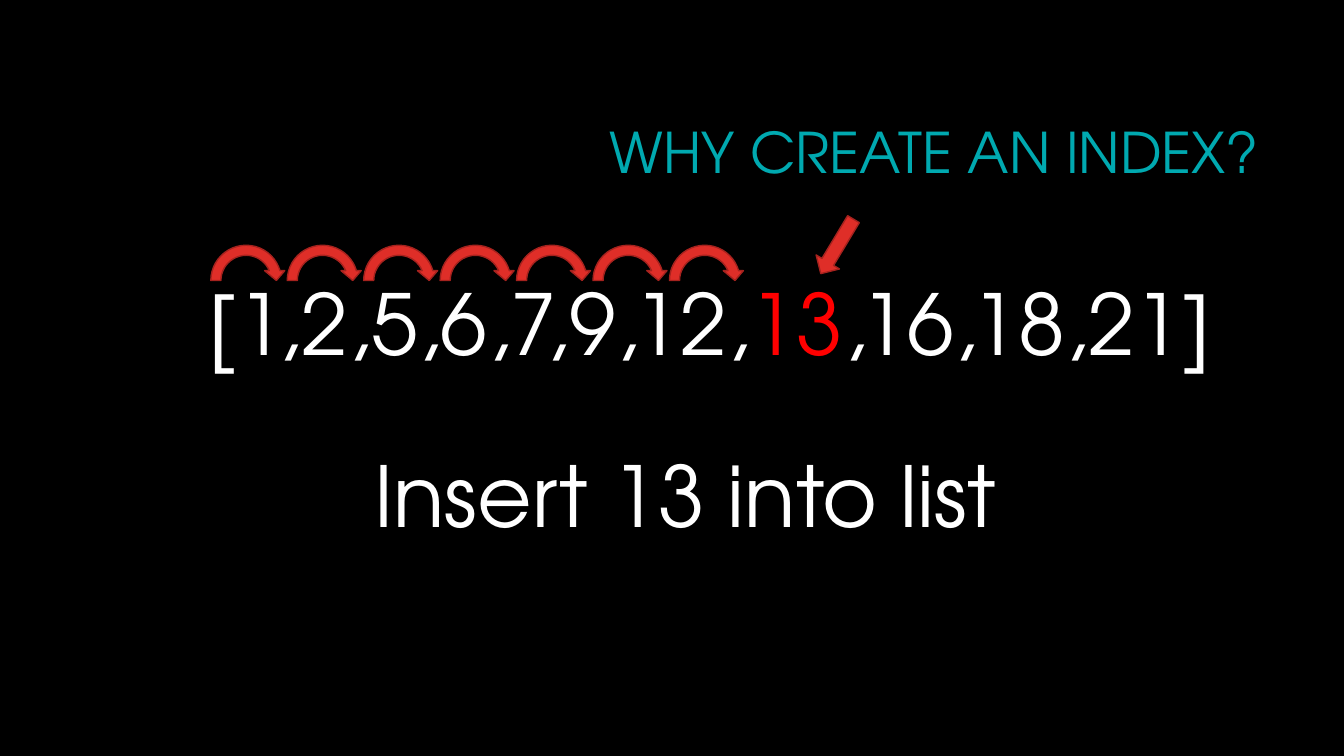
from pptx import Presentation
from pptx.dml.color import RGBColor
from pptx.enum.shapes import MSO_SHAPE
from pptx.enum.text import MSO_ANCHOR, MSO_AUTO_SIZE, PP_ALIGN
from pptx.util import Inches, Pt

LEFT, CENTER, RIGHT = PP_ALIGN.LEFT, PP_ALIGN.CENTER, PP_ALIGN.RIGHT
MIDDLE = MSO_ANCHOR.MIDDLE
NO_FIT, GROW = MSO_AUTO_SIZE.NONE, MSO_AUTO_SIZE.SHAPE_TO_FIT_TEXT
HOP, POINTER = MSO_SHAPE.CIRCULAR_ARROW, MSO_SHAPE.DOWN_ARROW

COLORS = {
    "background": "000000",
    "title": "00A9B0",
    "text": "FFFFFF",
    "inserted": "FF0000",
    "arrow": "DF2E28",
    "outline": "A5221E",
}
FONT = "TeX Gyre Adventor"
COLUMNS, ROWS = 160, 90
TITLE_ONLY = 5


def color(name):
    return RGBColor.from_string(COLORS[name])


class SlideBuilder:
    """Places styled elements by (column, row, columns wide, rows high)."""

    def __init__(self, prs):
        self.column = prs.slide_width / COLUMNS
        self.row = prs.slide_height / ROWS
        self.slide = prs.slides.add_slide(prs.slide_layouts[TITLE_ONLY])
        fill = self.slide.background.fill
        fill.solid()
        fill.fore_color.rgb = color("background")

    def area(self, left, top, width, height):
        return (round(left * self.column), round(top * self.row),
                round(width * self.column), round(height * self.row))

    def add_runs(self, frame, runs, size, align):
        frame.word_wrap = True
        paragraph = frame.paragraphs[0]
        paragraph.alignment = align
        for words, color_name in runs:
            run = paragraph.add_run()
            run.text = words
            run.font.name = FONT
            run.font.size = Pt(size)
            run.font.color.rgb = color(color_name)
        return paragraph

    def title(self, words, cells):
        title = self.slide.shapes.title
        title.left, title.top, title.width, title.height = self.area(*cells)
        frame = title.text_frame
        frame.auto_size = NO_FIT
        frame.vertical_anchor = MIDDLE
        self.add_runs(frame, [(words, "title")], 40, RIGHT).line_spacing = 0.9

    def text(self, runs, cells, align=LEFT):
        frame = self.slide.shapes.add_textbox(*self.area(*cells)).text_frame
        self.add_runs(frame, runs, 60, align)
        frame.auto_size = GROW

    def arrow(self, kind, cells, rotation=0):
        arrow = self.slide.shapes.add_shape(kind, *self.area(*cells))
        arrow.rotation = rotation
        arrow.shadow.inherit = False
        arrow.fill.solid()
        arrow.fill.fore_color.rgb = color("arrow")
        arrow.line.color.rgb = color("outline")
        arrow.line.width = Pt(1)


def main():
    prs = Presentation()
    prs.slide_width, prs.slide_height = Inches(13.33), Inches(7.5)
    builder = SlideBuilder(prs)

    builder.title("WHY CREATE AN INDEX?", (38.04, 10.08, 113.04, 16.92))
    builder.text([("[1,2,5,6,7,9,12,", "text"),
                  ("13", "inserted"),
                  (",16,18,21]", "text")],
                 (23.64, 31.68, 126.6, 13.32))
    builder.text([("Insert 13 into list", "text")],
                 (23.64, 52.2, 115.92, 13.32), CENTER)

    hop_count, first_hop, hop_pitch, hop_size = 7, 24.5, 9.1, 9.6
    for hop in range(hop_count):
        builder.arrow(HOP, (first_hop + hop * hop_pitch, 28.6,
                            hop_size, hop_size))
    builder.arrow(POINTER, (98.04, 25.56, 3.24, 7.56), rotation=31)

    prs.save("out.pptx")


if __name__ == "__main__":
    main()
